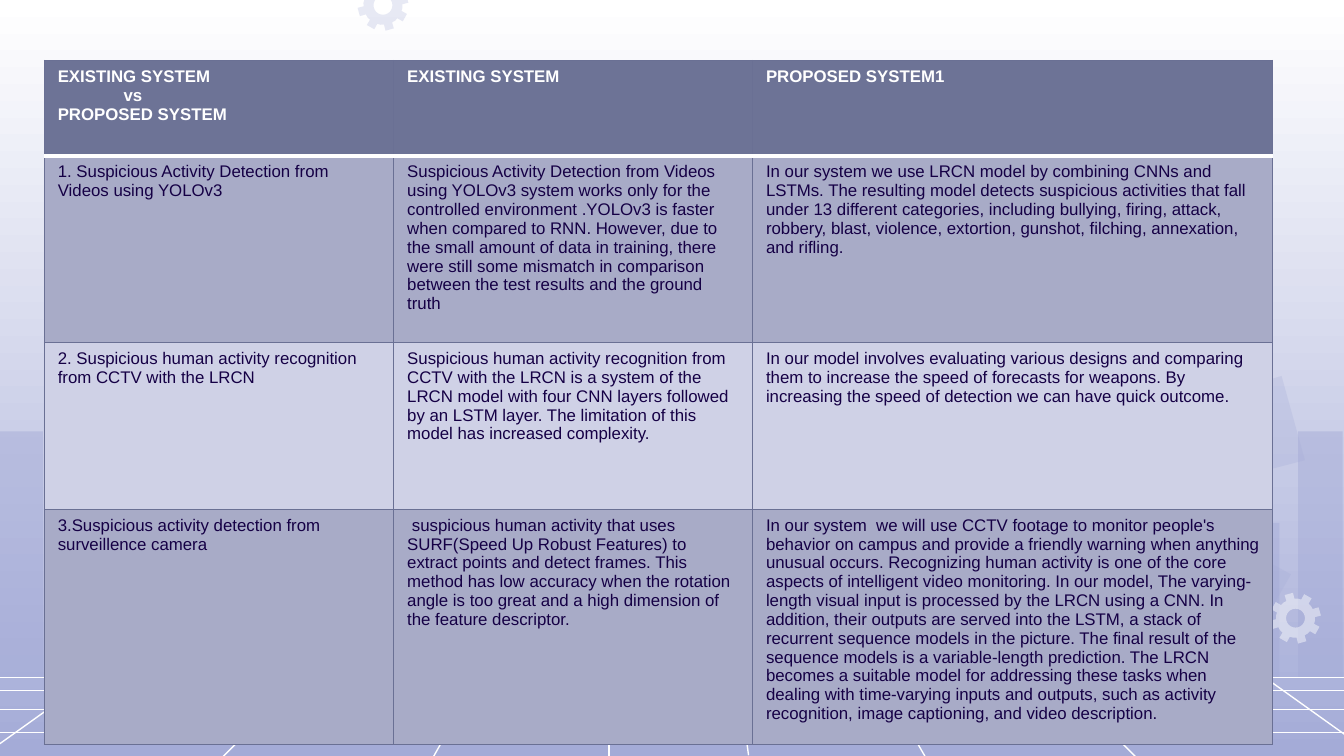
"""Build a slide comparing existing and proposed activity detection systems."""
from math import cos, radians, sin

from lxml import etree
from pptx import Presentation
from pptx.dml.color import RGBColor
from pptx.enum.shapes import MSO_CONNECTOR, MSO_SHAPE
from pptx.oxml.ns import qn
from pptx.util import Inches, Pt

RECTANGLE = MSO_SHAPE.RECTANGLE
STRAIGHT = MSO_CONNECTOR.STRAIGHT
WHITE, LAVENDER, HEADER, BORDER, INK = "FFFFFF", "A4ABD7", "6D7396", "6A7094", "150045"
ROW_FILLS = [HEADER, "A8ABC7", "CFD1E6", "A8ABC7"]
PAGE_WIDTH = 10
PAGE_HEIGHT = PAGE_WIDTH * 9 / 16

ROWS = [
    ["EXISTING SYSTEM\nvs\nPROPOSED SYSTEM", "EXISTING SYSTEM", "PROPOSED SYSTEM1"],
    ["1. Suspicious Activity Detection from Videos using YOLOv3",
     "Suspicious Activity Detection from Videos using YOLOv3 system works only for the "
     "controlled environment .YOLOv3 is faster when compared to RNN. However, due to the "
     "small amount of data in training, there were still some mismatch in comparison "
     "between the test results and the ground truth",
     "In our system we use LRCN model by combining CNNs and LSTMs. The resulting model "
     "detects suspicious activities that fall under 13 different categories, including "
     "bullying, firing, attack, robbery, blast, violence, extortion, gunshot, filching, "
     "annexation, and rifling."],
    ["2. Suspicious human activity recognition from CCTV with the LRCN",
     "Suspicious human activity recognition from CCTV with the LRCN is a system of the "
     "LRCN model with four CNN layers followed by an LSTM layer. The limitation of this "
     "model has increased complexity.",
     "In our model involves evaluating various designs and comparing them to increase the "
     "speed of forecasts for weapons. By increasing the speed of detection we can have "
     "quick outcome."],
    ["3.Suspicious activity detection from surveillence camera",
     " suspicious human activity that uses SURF(Speed Up Robust Features) to extract "
     "points and detect frames. This method has low accuracy when the rotation angle is "
     "too great and a high dimension of the feature descriptor.",
     "In our system  we will use CCTV footage to monitor people's behavior on campus and "
     "provide a friendly warning when anything unusual occurs. Recognizing human activity "
     "is one of the core aspects of intelligent video monitoring. In our model, The "
     "varying-length visual input is processed by the LRCN using a CNN. In addition, their "
     "outputs are served into the LSTM, a stack of recurrent sequence models in the "
     "picture. The final result of the sequence models is a variable-length prediction. "
     "The LRCN becomes a suitable model for addressing these tasks when dealing with "
     "time-varying inputs and outputs, such as activity recognition, image captioning, and "
     "video description."],
]
COLUMN_WIDTHS = [2.6, 2.67, 3.87]
ROW_HEIGHTS = [0.71, 1.39, 1.24, 1.75]
INDENTS = {"vs": 0.49}

BAR_HEIGHTS = [1.83, 1.15, 1.4, 1.15, 1.61, 0.5, 1.61, 0.5]
BAR_WIDTH, BAR_STEP, HORIZON = 0.33, 0.47, 5.04
FLOOR_LEVELS = [HORIZON, 5.14, 5.28, 5.45]
FLOOR_RAYS = [
    (-0.01, 5.54, 0.69), (1.66, 5.63, 2.25), (3.22, 5.64, 3.56), (4.53, 5.63, 4.53),
    (10.11, 5.54, 9.41), (8.45, 5.63, 7.85), (6.89, 5.64, 6.54), (5.57, 5.62, 5.49),
]
GEARS = [(2.85, 0.04, 0.19, LAVENDER, 26), (9.64, 4.6, 0.19, WHITE, 45),
         (7.79, 3.62, 1.93, LAVENDER, 26)]


def color(value):
    """Turn a hex string into a colour."""
    return RGBColor.from_string(value)


def paint(shape, value, opacity):
    """Give a shape a translucent fill with no line or shadow."""
    shape.shadow.inherit = False
    shape.line.fill.background()
    shape.fill.solid()
    shape.fill.fore_color.rgb = color(value)
    tint = shape._element.spPr.find(".//" + qn("a:srgbClr"))
    etree.SubElement(tint, qn("a:alpha"), val=str(opacity * 1000))


def add_line(page, left, top, right, bottom):
    """Draw a thin white floor line."""
    line = page.shapes.add_connector(STRAIGHT, *map(Inches, (left, top, right, bottom)))
    line.line.color.rgb = color(WHITE)
    line.line.width = Pt(0.75)
    etree.SubElement(line._element.spPr, qn("a:effectLst"))


def add_gear(page, center_x, center_y, radius, value, opacity):
    """Draw an eight-toothed gear with a round hole."""
    def point(share, angle):
        return (Inches(center_x + radius * share * cos(radians(angle))),
                Inches(center_y + radius * share * sin(radians(angle))))

    profile = [(0.76, -12.5), (1, -9.7), (1, 9.7), (0.76, 12.5), (0.77, 22.5)]
    rim = [point(share, 29.5 + 45 * tooth + angle)
           for tooth in range(8) for share, angle in profile]
    hole = [point(0.37, -angle) for angle in range(0, 360, 15)]
    builder = page.shapes.build_freeform(*rim[0], scale=1.0)
    builder.add_line_segments(rim[1:], close=True)
    builder.move_to(*hole[0])
    builder.add_line_segments(hole[1:], close=True)
    paint(builder.convert_to_shape(), value, opacity)


def write(cell, text, size=9, font="Arial", ink=INK, bold=False):
    """Fill a cell with one paragraph per line of text."""
    cell.text = text
    for para in cell.text_frame.paragraphs:
        if para.text in INDENTS:
            para._p.get_or_add_pPr().set("marL", str(Inches(INDENTS[para.text])))
        for span in para.runs:
            span.font.size, span.font.name, span.font.bold = Pt(size), font, bold
            span.font.color.rgb = color(ink)


def set_borders(cell, **edges):
    """Outline a cell, with (colour, width) overrides by edge tag."""
    properties = cell._tc.get_or_add_tcPr()
    for position, tag in enumerate(("lnL", "lnR", "lnT", "lnB")):
        value, width = edges.get(tag, (BORDER, 0.75))
        edge = etree.Element(qn("a:" + tag), w=str(Pt(width)))
        fill = etree.SubElement(edge, qn("a:solidFill"))
        etree.SubElement(fill, qn("a:srgbClr"), val=value)
        properties.insert(position, edge)


def add_comparison(page):
    """Place the comparison table."""
    frame = page.shapes.add_table(
        len(ROWS), len(COLUMN_WIDTHS), Inches(0.33), Inches(0.45),
        Inches(sum(COLUMN_WIDTHS)), Inches(sum(ROW_HEIGHTS)))
    table = frame.table
    table.horz_banding = False
    for column, width in zip(table.columns, COLUMN_WIDTHS):
        column.width = Inches(width)
    for number, texts in enumerate(ROWS):
        table.rows[number].height = Inches(ROW_HEIGHTS[number])
        header = number == 0
        edges = {0: {"lnB": (WHITE, 2)}, 1: {"lnT": (WHITE, 2)}}.get(number, {})
        for cell, text in zip(table.rows[number].cells, texts):
            write(cell, text, ink=WHITE if header else INK, bold=header)
            cell.fill.solid()
            cell.fill.fore_color.rgb = color(ROW_FILLS[number])
            set_borders(cell, **edges)


def main():
    """Build and save the deck."""
    deck = Presentation()
    deck.slide_width, deck.slide_height = Inches(PAGE_WIDTH), Inches(PAGE_HEIGHT)
    page = deck.slides.add_slide(deck.slide_layouts[6])
    backdrop = page.background.fill
    backdrop.gradient()
    backdrop.gradient_angle = 270
    for stop, value in zip(backdrop.gradient_stops, (WHITE, LAVENDER)):
        stop.color.rgb = color(value)
    for start, step in ((9.66, -BAR_STEP), (-0.01, BAR_STEP)):
        for number, height in enumerate(BAR_HEIGHTS):
            place = (start + number * step, HORIZON - height, BAR_WIDTH, height)
            paint(page.shapes.add_shape(RECTANGLE, *map(Inches, place)), LAVENDER, 48)
    for level in FLOOR_LEVELS:
        add_line(page, 0, level, PAGE_WIDTH, level)
    for near_x, near_y, far_x in FLOOR_RAYS:
        add_line(page, near_x, near_y, far_x, HORIZON)
    for gear in GEARS:
        add_gear(page, *gear)
    add_comparison(page)
    deck.save("out.pptx")


if __name__ == "__main__":
    main()
